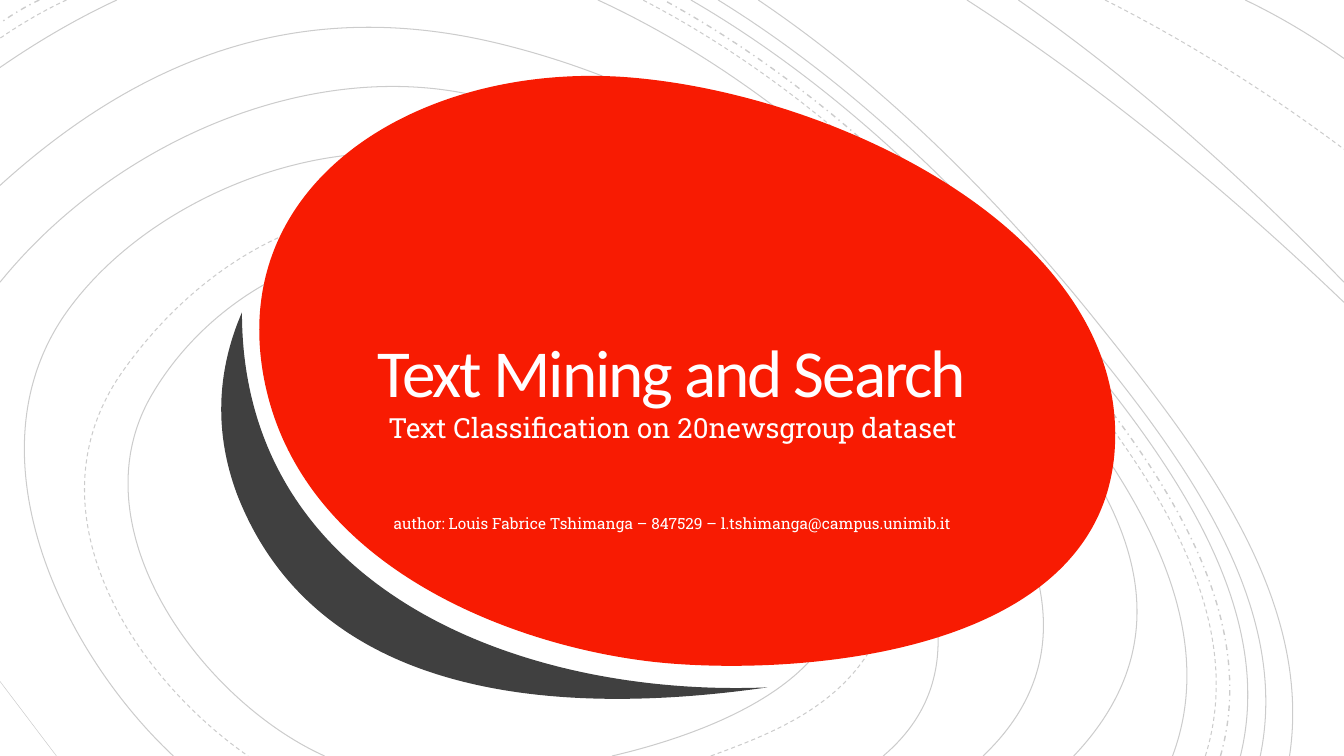
from dataclasses import astuple, dataclass
from typing import Any

import pptx
import pptx.dml.color
import pptx.enum.dml
import pptx.enum.text
import pptx.oxml
import pptx.oxml.ns
import pptx.util

Inches = pptx.util.Inches
Pt = pptx.util.Pt
RGB = pptx.dml.color.RGBColor
Dash = pptx.enum.dml.MSO_LINE
Anchor = pptx.enum.text.MSO_ANCHOR
qn = pptx.oxml.ns.qn
Point = tuple[float, float]
WIDTH, HEIGHT = 13.33, 7.5


@dataclass(frozen=True)
class Theme:
    red: RGB = RGB.from_string("F81B02")
    charcoal: RGB = RGB.from_string("404040")
    contour: RGB = RGB.from_string("000000")
    contour_opacity: int = 20
    text: RGB = RGB.from_string("FFFEFF")
    title_font: str = "Calibri"
    body_font: str = "Roboto Slab"
    title_size: float = 48
    subtitle_size: float = 19.8
    author_size: float = 11
    title_tracking: float = -1.5
    line_spacing: float = 0.8


@dataclass(frozen=True)
class Knot:
    """A smooth point on a curve; the outgoing handle is the incoming one times stretch."""
    x: float
    y: float
    dx: float
    dy: float
    stretch: float = 1


@dataclass(frozen=True)
class Contour:
    points: list[Point]
    dash: Any = Dash.SOLID
    weight: float = 0.75


@dataclass(frozen=True)
class TextArea:
    left: float
    top: float
    width: float
    height: float
    insets: tuple[float, float, float, float]
    anchor: Any


THEME = Theme()


def through(knots: list[Knot]) -> list[Point]:
    """Bézier points of the smooth curve through the knots."""
    points = [(knots[0].x, knots[0].y)]
    for a, b in zip(knots, knots[1:]):
        points += [(a.x + a.dx * a.stretch, a.y + a.dy * a.stretch),
                   (b.x - b.dx, b.y - b.dy), (b.x, b.y)]
    return points


def blend(inner: list[Knot], outer: list[Knot], share: float) -> list[Knot]:
    return [Knot(*(p + (q - p) * share for p, q in zip(astuple(a), astuple(b))))
            for a, b in zip(inner, outer)]


def arc(start: Point, end: Point, bow: float = 0.065) -> list[Point]:
    """Bézier points of a nearly straight line, lifted in proportion to its height."""
    (x0, y0), (x1, y1) = start, end
    lift = bow * abs(y1 - y0)
    handles = [(x0 + (x1 - x0) * k / 3, y0 + (y1 - y0) * k / 3 - lift) for k in (1, 2)]
    return [start, *handles, end]


SWEEP_INNER = [Knot(11.63, 7.5, 0.63, -1.68), Knot(9.63, 2.87, -1.03, -1.15),
               Knot(5.93, 0, -1.43, -0.66)]
SWEEP_OUTER = [Knot(12.79, 7.5, 0.24, -1.6), Knot(10.9, 3.22, -0.95, -1.19),
               Knot(7.52, 0, -1.29, -0.87)]
SWEEPS = [(0, Dash.SOLID, 0.75), (0.28, Dash.DASH, 0.75), (0.41, Dash.DASH_DOT, 1),
          (0.58, Dash.SOLID, 0.75), (0.75, Dash.SOLID, 0.75), (1, Dash.SOLID, 0.75)]

LEFT_CORNER = [(1.16, 0.67, Dash.SOLID, 0.75), (0.66, 0.38, Dash.DASH, 0.75),
               (0.39, 0.23, Dash.DASH_DOT, 1)]
RIGHT_CORNER = [(9.59, 3, Dash.SOLID), (10.1, 2.8, Dash.SOLID),
                (10.96, 1.48, Dash.DASH), (12.35, 0.58, Dash.SOLID)]

CONTOURS = [
    Contour(through([Knot(8.76, 7.5, 1.49, -1.26), Knot(7.38, 3.15, -0.93, -0.9),
                     Knot(4.12, 1.53, -1.25, -0.11), Knot(0.68, 3.07, -0.73, 1, 1.4),
                     Knot(1.72, 7.5, 1.12, 1.05)])),
    Contour(through([Knot(6.07, 7.5, 1.03, -0.24), Knot(8.25, 5.29, -0.54, -1.34),
                     Knot(4.8, 2.48, -1.29, -0.29), Knot(1.51, 3.91, -0.65, 1.1, 1.2),
                     Knot(3.22, 7.5, 1.22, 0.55)])),
    Contour(through([Knot(7.05, 7.5, 0.6, -0.22), Knot(8.67, 6.38, 0.35, -0.64),
                     Knot(8.17, 4.4, -0.47, -0.55, 2), Knot(4.43, 2.09, -1.37, -0.16),
                     Knot(1.22, 3.68, -0.71, 1, 1.35), Knot(2.46, 7.5, 1.19, 0.83)]), Dash.DASH),
    Contour(through([Knot(9.75, 7.5, 1.55, -1.47), Knot(8.38, 3.06, -1.1, -1.04),
                     Knot(4.58, 0.92, -1.6, -0.3), Knot(0, 2.8, -1.11, 1.37)])),
    Contour(arc((0, 6.76), (0.56, HEIGHT), bow=0), weight=0.38),
    Contour(through([Knot(10.65, 7.5, 1.48, -1.56), Knot(9.44, 3.07, -1.25, -1.17),
                     Knot(4.98, 0.44, -1.85, -0.46), Knot(0, 1.84, -1.52, 1.38)])),
    *(Contour(through(blend(SWEEP_INNER, SWEEP_OUTER, share)), dash, weight)
      for share, dash, weight in SWEEPS),
    *(Contour(arc((x, 0), (0, y)), dash, weight) for x, y, dash, weight in LEFT_CORNER),
    *(Contour(arc((x, 0), (WIDTH, y)), dash) for x, y, dash in RIGHT_CORNER),
]

CRESCENT = [(2.4, 3.1), (2.4, 5.85), (5.17, 6.92), (7.61, 6.82), (5.16, 7.17), (3.07, 6.76),
            (2.35, 4.9), (2.13, 4.31), (2.14, 3.7), (2.4, 3.1)]
PEBBLE_KNOTS = [Knot(2.61, 3.71, -0.34, -1.96), Knot(6.26, 0.77, 2.03, 0.17),
                Knot(11.06, 4.38, -0.06, 2.09), Knot(6.62, 6.58, -1.41, -0.12)]
PEBBLE = through(PEBBLE_KNOTS + PEBBLE_KNOTS[:1])

TITLE_AREA = TextArea(2.86, 2.25, 7.61, 1.82, (0.25, 0.25, 0.25, 0), Anchor.BOTTOM)
SUBTITLE_AREA = TextArea(3.71, 4.14, 5.92, 1.31, (0.1, 0, 0.1, 0.05), Anchor.TOP)


def add_curve(shapes: Any, points: list[Point], close: bool) -> Any:
    """Add a freeform whose every three points after the first make a cubic segment."""
    start, *rest = [(Inches(x), Inches(y)) for x, y in points]
    builder = shapes.build_freeform(*start)
    builder.add_line_segments(rest, close=close)
    shape = builder.convert_to_shape()
    shape.shadow.inherit = False
    lines = list(shape.element.iter(qn("a:lnTo")))
    for first, *others in zip(lines[::3], lines[1::3], lines[2::3]):
        first.tag = qn("a:cubicBezTo")
        for line in others:
            first.append(line[0])
            line.getparent().remove(line)
    return shape


def draw_contour(shapes: Any, contour: Contour) -> None:
    shape = add_curve(shapes, contour.points, close=False)
    shape.fill.background()
    shape.line.width = Pt(contour.weight)
    shape.line.color.rgb = THEME.contour
    shape.line.dash_style = contour.dash
    alpha = pptx.oxml.parse_xml(f'<a:alpha {pptx.oxml.ns.nsdecls("a")}/>')
    alpha.set("val", f"{THEME.contour_opacity * 1000}")
    next(shape.line._ln.iter(qn("a:srgbClr"))).append(alpha)


def draw_blob(shapes: Any, points: list[Point], color: RGB) -> None:
    shape = add_curve(shapes, points, close=True)
    shape.fill.solid()
    shape.fill.fore_color.rgb = color
    shape.line.fill.background()


def place_text(box: Any, area: TextArea, text: str) -> None:
    box.left, box.top = Inches(area.left), Inches(area.top)
    box.width, box.height = Inches(area.width), Inches(area.height)
    frame = box.text_frame
    frame.text = text
    frame.word_wrap = True
    frame.auto_size = pptx.enum.text.MSO_AUTO_SIZE.NONE
    frame.vertical_anchor = area.anchor
    (frame.margin_left, frame.margin_top,
     frame.margin_right, frame.margin_bottom) = map(Inches, area.insets)


def format_para(para: Any, font: str, size: float, space_before: float) -> None:
    para.alignment = pptx.enum.text.PP_ALIGN.CENTER
    para.line_spacing = THEME.line_spacing
    para.space_before = Pt(space_before)
    for span in para.runs:
        span.font.name = font
        span.font.size = Pt(size)
        span.font.color.rgb = THEME.text


def main() -> None:
    deck = pptx.Presentation()
    deck.slide_width, deck.slide_height = Inches(WIDTH), Inches(HEIGHT)
    page = deck.slides.add_slide(deck.slide_layouts[0])
    title, subtitle = page.placeholders

    backdrop = page.shapes.add_group_shape()
    for contour in CONTOURS:
        draw_contour(backdrop.shapes, contour)
    draw_blob(page.shapes, CRESCENT, THEME.charcoal)
    draw_blob(page.shapes, PEBBLE, THEME.red)
    for box in (title, subtitle):  # bring the text in front of the shapes
        page.shapes.element.append(box.element)

    place_text(title, TITLE_AREA, "Text Mining and Search")
    heading = title.text_frame.paragraphs[0]
    format_para(heading, THEME.title_font, THEME.title_size, 0)
    heading.runs[0].font._element.set("spc", f"{THEME.title_tracking * 100:.0f}")

    place_text(subtitle, SUBTITLE_AREA, "Text Classification on 20newsgroup dataset\n"
               "author: Louis Fabrice Tshimanga – 847529 – l.tshimanga@campus.unimib.it")
    topic, author = subtitle.text_frame.paragraphs
    format_para(topic, THEME.body_font, THEME.subtitle_size, 10)
    format_para(author, THEME.body_font, THEME.author_size, 53)
    deck.save("out.pptx")


if __name__ == "__main__":
    main()
